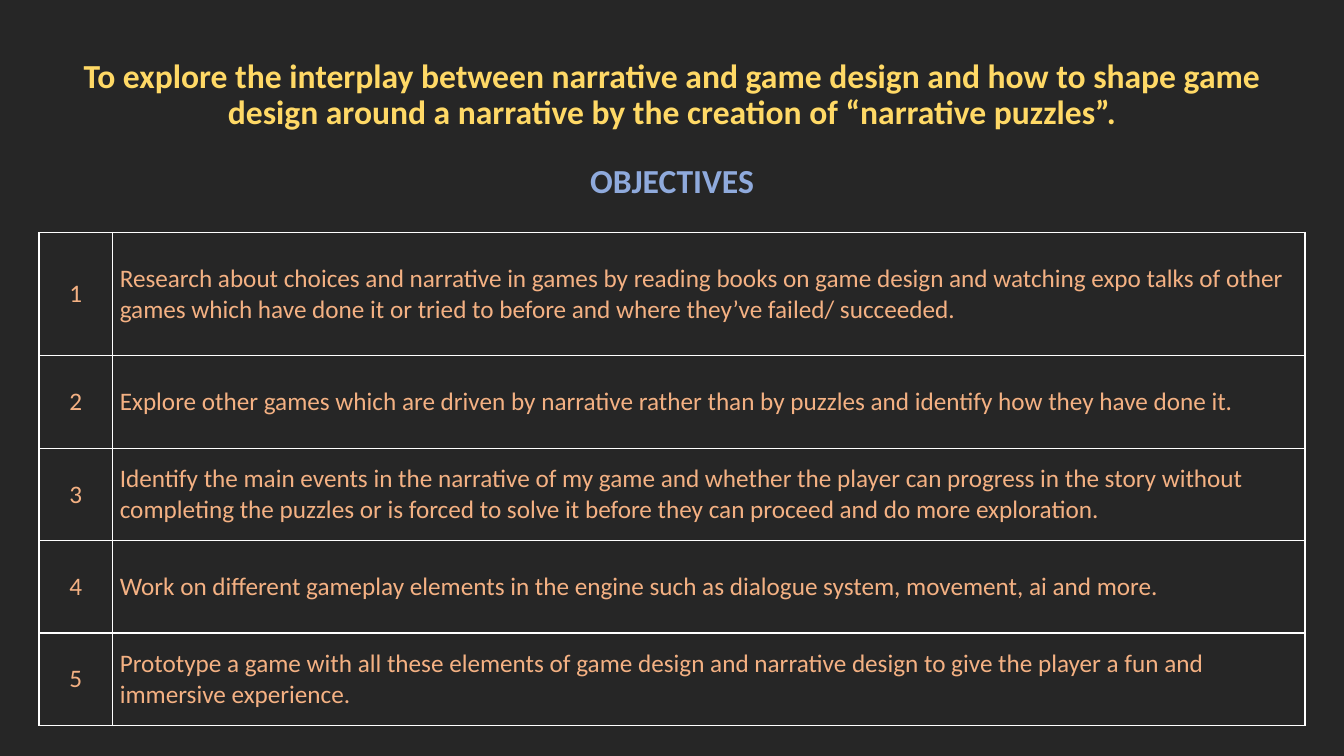
from dataclasses import dataclass

import pptx
import pptx.dml.color
import pptx.enum.text
import pptx.oxml
import pptx.oxml.ns
import pptx.util

Pt = pptx.util.Pt
RGB = pptx.dml.color.RGBColor.from_string
Align = pptx.enum.text.PP_ALIGN
MIDDLE = pptx.enum.text.MSO_ANCHOR.MIDDLE


@dataclass(frozen=True)
class Theme:
    font: str = "Calibri"
    background: str = "262626"
    aim: str = "FFD966"
    heading: str = "8FAADC"
    objective: str = "F4B183"
    border: str = "FFFFFF"
    heading_size: int = 24
    objective_size: int = 18
    border_width: int = 1


THEME = Theme()

AIM = ("To explore the interplay between narrative and game design and how to shape game "
       "design around a narrative by the creation of “narrative puzzles”.")
OBJECTIVES = [
    "Research about choices and narrative in games by reading books on game design and "
    "watching expo talks of other games which have done it or tried to before and where "
    "they’ve failed/ succeeded.",
    "Explore other games which are driven by narrative rather than by puzzles and identify "
    "how they have done it.",
    "Identify the main events in the narrative of my game and whether the player can "
    "progress in the story without completing the puzzles or is forced to solve it before "
    "they can proceed and do more exploration.",
    "Work on different gameplay elements in the engine such as dialogue system, movement, "
    "ai and more.",
    "Prototype a game with all these elements of game design and narrative design to give "
    "the player a fun and immersive experience.",
]


def style(paragraph, size, color, align, bold=False):
    paragraph.alignment = align
    paragraph.font.name = THEME.font
    paragraph.font.size = Pt(size)
    paragraph.font.bold = bold
    paragraph.font.color.rgb = RGB(color)


def add_heading(slide, box, text, color):
    heading = slide.shapes.add_textbox(*map(Pt, box)).text_frame
    heading.word_wrap = True
    heading.vertical_anchor = MIDDLE
    line = heading.paragraphs[0]
    line.text = text
    line.line_spacing = 0.9
    style(line, THEME.heading_size, color, Align.CENTER, bold=True)


def add_borders(cell):
    properties = cell._tc.get_or_add_tcPr()
    for side in ("lnL", "lnR", "lnT", "lnB"):
        properties.append(pptx.oxml.parse_xml(
            f'<a:{side} {pptx.oxml.ns.nsdecls("a")} w="{Pt(THEME.border_width)}">'
            f'<a:solidFill><a:srgbClr val="{THEME.border}"/></a:solidFill></a:{side}>'))


def fill_cell(cell, text, align):
    add_borders(cell)
    cell.fill.solid()
    cell.fill.fore_color.rgb = RGB(THEME.background)
    cell.vertical_anchor = MIDDLE
    cell.margin_left = cell.margin_right = Pt(5)
    cell.margin_top = cell.margin_bottom = 0
    cell.text = text
    style(cell.text_frame.paragraphs[0], THEME.objective_size, THEME.objective, align)


def add_objectives(slide, box, objectives):
    left, top, width, height = box
    number_width = 52.8
    row_height = 66
    table = slide.shapes.add_table(len(objectives), 2, *map(Pt, box)).table
    table.first_row = table.horz_banding = False
    table.columns[0].width = Pt(number_width)
    table.columns[1].width = Pt(width - number_width)
    # The first row takes the height the equal rows leave over
    for row in table.rows:
        row.height = Pt(row_height)
    table.rows[0].height = Pt(height - row_height * (len(objectives) - 1))
    for index, objective in enumerate(objectives):
        fill_cell(table.cell(index, 0), str(index + 1), Align.CENTER)
        fill_cell(table.cell(index, 1), objective, Align.LEFT)


def build_objectives_slide(presentation, box):
    left, top, width, height = box
    slide = presentation.slides.add_slide(presentation.slide_layouts[6])
    slide.background.fill.solid()
    slide.background.fill.fore_color.rgb = RGB(THEME.background)

    # Aim of the project
    add_heading(slide, (left, top, width, 80.7), AIM, THEME.aim)
    # Heading over the table
    add_heading(slide, (left, top + 80.7, width, 43.2), "OBJECTIVES", THEME.heading)
    # Numbered objectives
    table_offset = 138
    add_objectives(slide, (left, top + table_offset, width, height - table_offset), OBJECTIVES)


def main():
    presentation = pptx.Presentation()
    presentation.slide_width = Pt(960)
    presentation.slide_height = Pt(540)
    build_objectives_slide(presentation, (27.8, 28, 904.4, 490.2))
    presentation.save("out.pptx")


if __name__ == "__main__":
    main()
